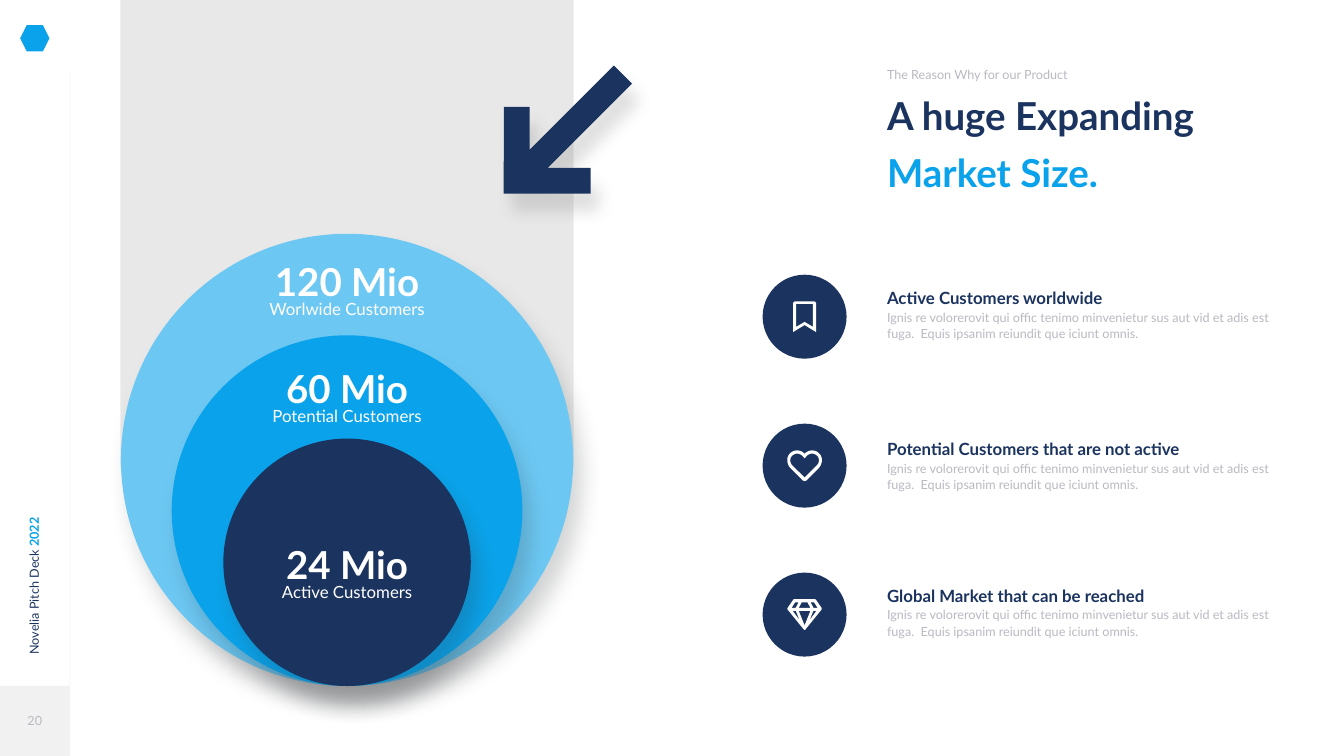
from lxml import etree
from pptx import Presentation
from pptx.dml.color import RGBColor
from pptx.enum import shapes, text
from pptx.oxml.ns import qn
from pptx.util import Pt

COLORS = {"navy": "1B335F", "blue": "0AA3EB", "sky": "6CC8F3", "grey": "B9B9C2",
          "panel": "E8E8E8", "white": "FFFFFF", "shade": "272B2F", "arrow_shade": "5E5E5E"}
FONT = "Lato"
BODY = ("Ignis re volorerovit qui offic tenimo minvenietur sus aut vid et adis est  "
        "fuga.  Equis ipsanim reiundit que iciunt omnis.")

# diameter, colour, value, label, top of the value
MARKETS = [(646, "sky", "120 Mio", "Worlwide Customers", 356.4),
           (501, "blue", "60 Mio", "Potential Customers", 509),
           (353.5, "navy", "24 Mio", "Active Customers", 761)]
CENTER_X, BASELINE = 495.8, 980

# Left halves of the icon contours around the icon centre: a pair is a line
# end, six numbers are a cubic curve. Those starting at x = 0 join their mirror image.
BOOKMARK = [
    [(0, -22), (-12.2, -22), (-15, -22, -16.5, -20.5, -16.5, -18), (-16.5, 22), (0, 12)],
    [(0, -18.4), (-11.5, -18.4), (-12, -18), (-12, 14.5), (0, 7.5)],
]
HEART = [
    [(0, -17), (-5.4, -22.7, -14, -23.4, -19.8, -18.4), (-27, -12.6, -25.6, -2.5, -20.5, 3.2),
     (-3.2, 20.5), (-2.5, 21.5, -1.4, 22, 0, 22)],
    [(0, -10.4), (-3.2, -14), (-6.8, -17.6, -12.6, -18.4, -17, -14.8),
     (-22, -11.2, -21.2, -4, -17.6, -0.4), (0, 17)],
]
DIAMOND = [
    [(0, -22), (-15, -22), (-16, -21.5), (-24.5, -9.2), (-24.5, -7.5), (-1, 21.5), (0, 22)],
    [(0, -17.6), (-4, -17.6), (-8.3, -9.7), (0, -9.7)],
    [(0, -5.4), (-8.3, -5.4), (0, 15.5)],
    [(-17, -5.4), (-12.6, -5.4), (-7, 8.3)],
    [(-13.5, -17.6), (-8.5, -17.6), (-12.7, -9.7), (-18.5, -9.7)],
]
# icon, heading, top of the text
POINTS = [(BOOKMARK, "Active Customers worldwide", 405.4),
          (HEART, "Potential Customers that are not active", 621.4),
          (DIAMOND, "Global Market that can be reached", 830.9)]
BADGE_X, BADGE_Y, BADGE_SIZE, BADGE_STEP = 1089.4, 392.4, 120, 212.8
TEXT_X, TEXT_W = 1267.2, 553

ARROW = [(843.8, 276.5), (843.8, 239.8), (782.6, 239.8), (902.9, 119.5), (877, 93.6),
         (756.7, 213.8), (756.7, 152.6), (720, 152.6), (719.5, 276.5)]

prs = Presentation()
prs.slide_width, prs.slide_height = Pt(1920), Pt(1080)
slide = prs.slides.add_slide(prs.slide_layouts[6])


def rgb(name):
    return RGBColor.from_string(COLORS[name])


def paint(sp, color, alpha=100):
    sp.shadow.inherit = False
    sp.line.fill.background()
    sp.fill.solid()
    sp.fill.fore_color.rgb = rgb(color)
    if alpha < 100:
        clr = sp.fill._xPr.find(".//" + qn("a:srgbClr"))
        etree.SubElement(clr, qn("a:alpha"), val=str(alpha * 1000))
    return sp


def add_preset(kind, x, y, w, h, color, alpha=100):
    return paint(slide.shapes.add_shape(kind, Pt(x), Pt(y), Pt(w), Pt(h)), color, alpha)


def cast_shadow(sp, color, alpha, blur, dist):
    effects = sp._element.spPr.find(qn("a:effectLst"))
    outer = etree.SubElement(effects, qn("a:outerShdw"), blurRad=str(Pt(blur)),
                             dist=str(Pt(dist)), dir=str(66 * 60000),
                             algn="ctr", rotWithShape="0")
    clr = etree.SubElement(outer, qn("a:srgbClr"), val=COLORS[color])
    etree.SubElement(clr, qn("a:alpha"), val=str(alpha * 1000))


def add_outline(contours, color, dx=0, dy=0):
    def unit(x, y):
        return round((x + dx) * 100), round((y + dy) * 100)

    builder = None
    for contour in contours:
        start, *rest = [unit(*p) for p in contour]
        if builder is None:
            builder = slide.shapes.build_freeform(*start, scale=127)
        else:
            builder.move_to(*start)
        builder.add_line_segments(rest, close=True)
    return paint(builder.convert_to_shape(), color)


def flatten(contour, steps=10):
    """Turn the curves of a contour into short lines."""
    pts = []
    for seg in contour:
        if len(seg) == 2:
            pts.append(seg)
            continue
        ctrl = [pts[-1], seg[:2], seg[2:4], seg[4:]]
        for i in range(1, steps + 1):
            t = i / steps
            weights = ((1 - t) ** 3, 3 * t * (1 - t) ** 2, 3 * t * t * (1 - t), t ** 3)
            pts.append(tuple(sum(w * c[k] for w, c in zip(weights, ctrl)) for k in (0, 1)))
    return pts


def mirror_icon(halves):
    contours = []
    for half in map(flatten, halves):
        mirrored = [(-x, y) for x, y in reversed(half)]
        contours += [half + mirrored] if half[0][0] == 0 else [half, mirrored]
    return contours


def add_text(x, y, w, h, paragraphs, align="LEFT", anchor="TOP", inset=0):
    """Each paragraph is (line spacing, runs); each run is (text, size, colour, bold)."""
    sp = slide.shapes.add_textbox(Pt(x), Pt(y), Pt(w), Pt(h))
    tf = sp.text_frame
    tf.word_wrap = True
    tf.vertical_anchor = text.MSO_ANCHOR[anchor]
    tf.margin_left = tf.margin_right = tf.margin_top = tf.margin_bottom = Pt(inset)
    for i, (spacing, runs) in enumerate(paragraphs):
        p = tf.add_paragraph() if i else tf.paragraphs[0]
        p.alignment, p.line_spacing = text.PP_ALIGN[align], spacing
        for words, size, color, bold in runs:
            r = p.add_run()
            r.text = words
            r.font.name, r.font.size, r.font.bold = FONT, Pt(size), bold
            r.font.color.rgb = rgb(color)
    return sp


RECT, OVAL = shapes.MSO_SHAPE.RECTANGLE, shapes.MSO_SHAPE.OVAL

# Sidebar
deck = add_text(-103.7, 773.3, 301.7, 31, [(1.1, [("Novelia Pitch Deck ", 18, "navy", False),
                                                  ("2022", 18, "blue", True)])],
                anchor="MIDDLE", inset=4.5)
deck.rotation = 270
add_preset(RECT, 0, 980, 100, 100, "grey", 20)
add_preset(shapes.MSO_SHAPE.HEXAGON, 28.8, 36, 41.8, 37.4, "blue")
for i in range(6):
    add_preset(RECT, 99.4, 101.5 + i * 146.4, 0.72, 146.4, "grey", 20)
add_text(18, 1013, 63.4, 31, [(1.1, [("20", 18, "grey", False)])], "CENTER", inset=3.6)

# Market circles
add_preset(RECT, 172.1, 0, 647.3, 668.2, "panel")
for size, color, *_ in MARKETS:
    circle = add_preset(OVAL, CENTER_X - size / 2, BASELINE - size, size, size, color)
    cast_shadow(circle, "shade", 20, 31, 27.6)
for _, _, value, label, top in MARKETS:
    for words, size, bold, spacing, y, w, h in ((value, 55, True, 1.22, top, 224, 76.3),
                                                (label, 24, False, 1.2, top + 60, 273.6, 44)):
        add_text(CENTER_X - w / 2, y, w, h, [(spacing, [(words, size, "white", bold)])],
                 "CENTER", "MIDDLE", 5.8)
cast_shadow(add_outline([ARROW], "navy"), "arrow_shade", 18, 22, 27.8)

# Headline and points
add_text(TEXT_X, 93.6, TEXT_W, 161.3,
         [(1.1, [("The Reason Why for our Product", 18, "grey", False)]),
          (1.22, [("A huge Expanding", 55, "navy", True)]),
          (1.22, [("Market Size.", 55, "blue", True)])])
for i, (icon, heading, top) in enumerate(POINTS):
    y = BADGE_Y + i * BADGE_STEP
    add_preset(OVAL, BADGE_X, y, BADGE_SIZE, BADGE_SIZE, "navy")
    add_outline(mirror_icon(icon), "white", BADGE_X + BADGE_SIZE / 2, y + BADGE_SIZE / 2)
    add_text(TEXT_X, top, TEXT_W, 81.4, [(1.2, [(heading, 24, "navy", True)]),
                                         (1.1, [(BODY, 18, "grey", False)])])

prs.save("out.pptx")
